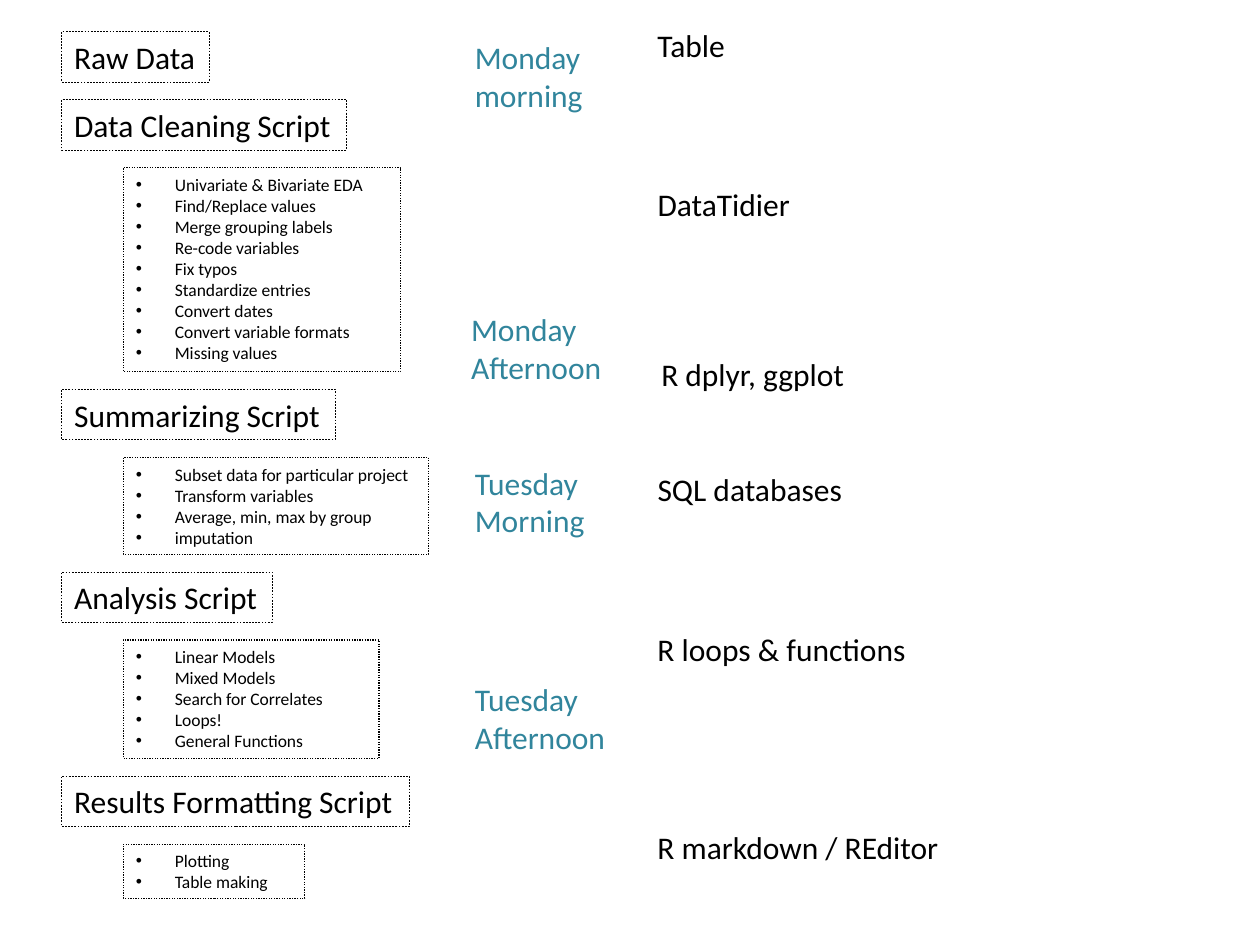
"""Build a workshop slide: data workflow steps, session times and tools."""
from lxml.etree import SubElement
from pptx import Presentation
from pptx.dml.color import RGBColor
from pptx.enum.dml import MSO_LINE
from pptx.enum.shapes import MSO_SHAPE
from pptx.enum.text import MSO_ANCHOR, MSO_AUTO_SIZE as FIT, PP_ALIGN
from pptx.oxml.ns import qn
from pptx.util import Inches, Pt

COLORS = {"ink": "000000", "session": "31859C"}
FONT = "Calibri"
COLUMN = 0.49
ROW = 0.4
GAP = 0.14
LIST_PADDING = 0.09
LIST_ROW = 0.17
INDENT = Inches(0.31)

deck = Presentation()
deck.slide_width, deck.slide_height = Inches(10), Inches(7.5)
slide = deck.slides.add_slide(deck.slide_layouts[6])


def add_text(lines, left, top, width, height=ROW, size=18, color="ink",
             wrap=False, bullets=False, dash=None, weight=0.25):
    place = [Inches(length) for length in (left, top, width, height)]
    if dash:
        box = slide.shapes.add_shape(MSO_SHAPE.RECTANGLE, *place)
        box.shadow.inherit = False
        box.fill.background()
        box.line.color.rgb = RGBColor.from_string(COLORS["ink"])
        box.line.width = Pt(weight)
        box.line.dash_style = dash
    else:
        box = slide.shapes.add_textbox(*place)
    frame = box.text_frame
    frame.text = "\n".join(lines)
    frame.word_wrap = wrap
    frame.auto_size = FIT.SHAPE_TO_FIT_TEXT
    frame.vertical_anchor = MSO_ANCHOR.TOP
    for paragraph in frame.paragraphs:
        paragraph.alignment = PP_ALIGN.LEFT
        font = paragraph.runs[0].font
        font.name, font.size = FONT, Pt(size)
        font.color.rgb = RGBColor.from_string(COLORS[color])
        if bullets:
            properties = paragraph._p.get_or_add_pPr()
            properties.set("marL", str(INDENT))
            properties.set("indent", str(-INDENT))
            SubElement(properties, qn("a:buFont"), typeface="Arial")
            SubElement(properties, qn("a:buChar"), char="•")


steps = [
    ("Raw Data", 1.17, [], 0),
    ("Data Cleaning Script", 2.26, [
        "Univariate & Bivariate EDA", "Find/Replace values",
        "Merge grouping labels", "Re-code variables", "Fix typos",
        "Standardize entries", "Convert dates", "Convert variable formats",
        "Missing values"], 2.2),
    ("Summarizing Script", 2.17, [
        "Subset data for particular project", "Transform variables",
        "Average, min, max by group", "imputation"], 2.42),
    ("Analysis Script", 1.67, [
        "Linear Models", "Mixed Models", "Search for Correlates", "Loops!",
        "General Functions"], 2.03),
    ("Results Formatting Script", 2.76, ["Plotting", "Table making"], 1.44),
]
top = 0.25
for step, step_width, tasks, tasks_width in steps:
    add_text([step], COLUMN, top, step_width, dash=MSO_LINE.DASH)
    top += ROW + GAP
    if tasks:
        tasks_height = LIST_PADDING + LIST_ROW * len(tasks)
        add_text(tasks, 2 * COLUMN, top, tasks_width, tasks_height, size=10,
                 wrap=True, bullets=True, dash=MSO_LINE.ROUND_DOT, weight=0.75)
        top += tasks_height + GAP

sessions = [
    (["Monday", "morning"], 3.67, 0.25, 1.07),
    (["Monday Afternoon"], 3.64, 2.41, 1.42),
    (["Tuesday Morning"], 3.67, 3.63, 1.42),
    (["Tuesday Afternoon"], 3.67, 5.35, 1.32),
]
for session, left, top, width in sessions:
    add_text(session, left, top, width, 0.71, color="session",
             wrap=len(session) == 1)

tools = [
    ("Table", 5.12, 0.16, 0.9),
    ("DataTidier", 5.12, 1.42, 1.41),
    ("R dplyr, ggplot", 5.15, 2.77, 1.67),
    ("SQL databases", 5.12, 3.68, 1.68),
    ("R loops & functions", 5.12, 4.95, 2.2),
    ("R markdown / REditor", 5.12, 6.52, 2.5),
]
for tool, left, top, width in tools:
    add_text([tool], left, top, width)

deck.save("out.pptx")
